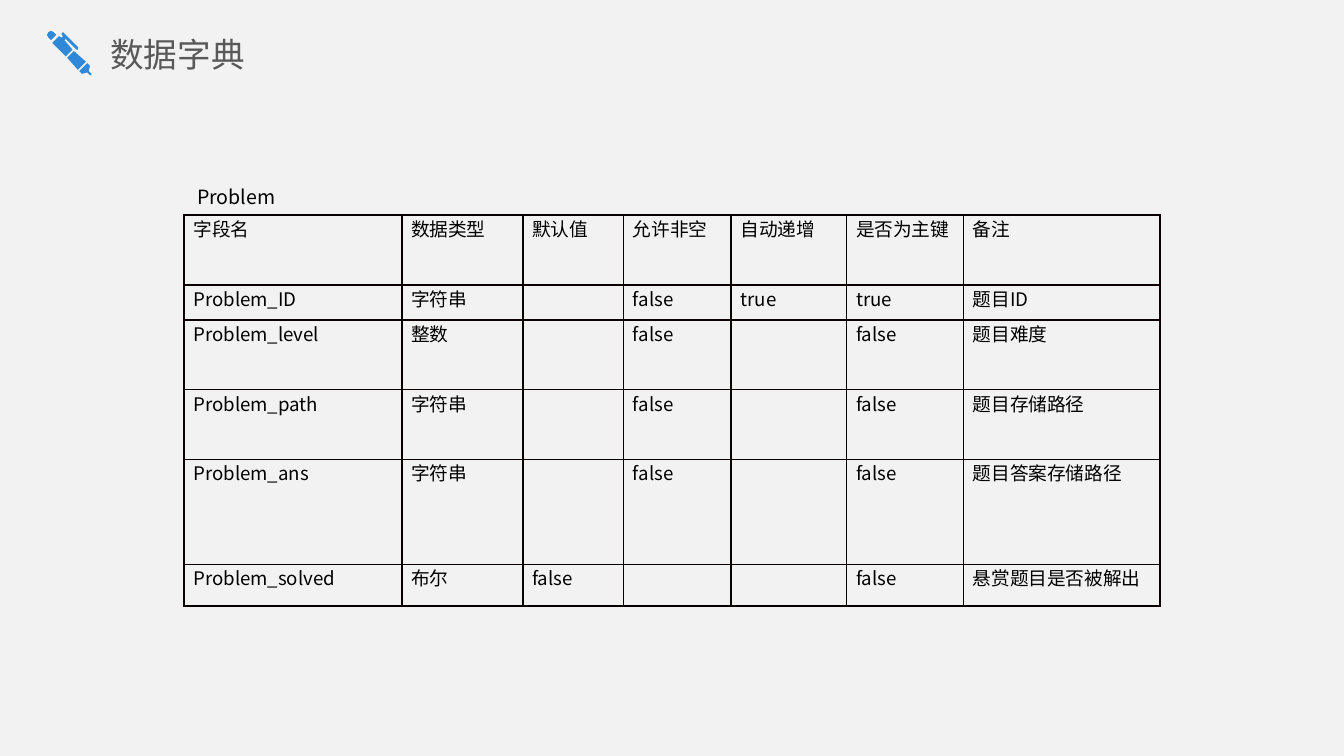
from lxml import etree
from pptx import Presentation
from pptx.dml.color import RGBColor
from pptx.enum import text
from pptx.oxml import ns
from pptx.util import Inches, Pt

FONT = "Noto Sans CJK SC"
BACKGROUND = RGBColor(0xF2, 0xF2, 0xF2)
BLUE = RGBColor(0x2F, 0x89, 0xD8)
GREY = RGBColor(0x59, 0x59, 0x59)
BLACK = RGBColor(0, 0, 0)
BORDER = RGBColor(0x08, 0, 0)

PEN_PARTS = [
    [(65, 47), (59, 53), (61, 55), (65, 54), (67, 56), (68, 56), (68, 55),
     (66, 53), (67, 49)],
    [(55, 38), (50, 43), (58, 52), (64, 46)],
    [(48, 25), (47, 24.5), (46, 25), (46, 26), (47, 27), (46, 28), (44, 27),
     (39, 32), (49, 42), (54, 37), (48, 30), (49, 29), (57, 37), (58, 37),
     (58.5, 36), (58, 35)],
    [(38, 23), (36, 24), (35.3, 26), (36, 28), (38, 30), (42, 26), (40, 24)],
]

COLUMN_WIDTHS = [1.62, 0.9, 0.75, 0.8, 0.86, 0.87, 1.46]
ROW_HEIGHTS = [0.52, 0.26, 0.52, 0.52, 0.78, 0.31]
FIELDS = [
    ["字段名", "数据类型", "默认值", "允许非空", "自动递增", "是否为主键", "备注"],
    ["Problem_ID", "字符串", "", "false", "true", "true", "题目ID"],
    ["Problem_level", "整数", "", "false", "", "false", "题目难度"],
    ["Problem_path", "字符串", "", "false", "", "false", "题目存储路径"],
    ["Problem_ans", "字符串", "", "false", "", "false", "题目答案存储路径"],
    ["Problem_solved", "布尔", "false", "", "", "false", "悬赏题目是否被解出"],
]


def place(shape, left, top, width, height):
    shape.left, shape.top = Inches(left), Inches(top)
    shape.width, shape.height = Inches(width), Inches(height)


def write(frame, words, size, color):
    frame.text = words
    paragraph = frame.paragraphs[0]
    paragraph.alignment = text.PP_ALIGN.LEFT
    for run in paragraph.runs:
        run.font.size = Pt(size)
        run.font.name = FONT
        run.font.color.rgb = color
        east_asian = etree.SubElement(run.font._element, ns.qn("a:ea"))
        east_asian.set("typeface", FONT)
    if not words:
        end = etree.SubElement(paragraph._p, ns.qn("a:endParaRPr"))
        end.set("sz", str(size * 100))


def draw_pen(slide):
    first, *others = PEN_PARTS
    builder = slide.shapes.build_freeform(*first[0], scale=Inches(0.01))
    builder.add_line_segments(first[1:], close=True)
    for part in others:
        builder.move_to(*part[0])
        builder.add_line_segments(part[1:], close=True)
    pen = builder.convert_to_shape()
    pen.shadow.inherit = False
    pen.fill.solid()
    pen.fill.fore_color.rgb = BLUE
    pen.line.fill.background()


def write_title(slide, words):
    title = slide.shapes.title
    place(title, 0.82, 0.19, 6.86, 0.42)
    frame = title.text_frame
    frame.auto_size = text.MSO_AUTO_SIZE.NONE
    frame.vertical_anchor = text.MSO_ANCHOR.MIDDLE
    frame.margin_left = frame.margin_right = 0
    frame.margin_top = frame.margin_bottom = Inches(0.05)
    write(frame, words, 18, GREY)


def add_caption(slide, words):
    caption = slide.shapes.add_textbox(
        Inches(1.37), Inches(1.33), Inches(6.29), Inches(0.28))
    caption.text_frame.word_wrap = True
    write(caption.text_frame, words, 10.5, BLACK)


def add_borders(cell):
    properties = cell._tc.get_or_add_tcPr()
    for position, side in enumerate(("lnL", "lnR", "lnT", "lnB")):
        line = etree.Element(ns.qn(f"a:{side}"), w=str(Pt(1)))
        fill = etree.SubElement(line, ns.qn("a:solidFill"))
        etree.SubElement(fill, ns.qn("a:srgbClr"), val=str(BORDER))
        properties.insert(position, line)


def add_dictionary(slide):
    frame = slide.shapes.add_table(
        len(ROW_HEIGHTS), len(COLUMN_WIDTHS), Inches(1.37), Inches(1.6),
        Inches(sum(COLUMN_WIDTHS)), Inches(sum(ROW_HEIGHTS)))
    table = frame.table
    table.first_row = table.horz_banding = False
    for column, width in zip(table.columns, COLUMN_WIDTHS):
        column.width = Inches(width)
    for row, height, values in zip(table.rows, ROW_HEIGHTS, FIELDS):
        row.height = Inches(height)
        for cell, value in zip(row.cells, values):
            cell.margin_left = cell.margin_right = Inches(0.07)
            cell.margin_top = cell.margin_bottom = 0
            cell.fill.background()
            add_borders(cell)
            write(cell.text_frame, value, 10, BLACK)


def main():
    presentation = Presentation()
    presentation.slide_width = Inches(10)
    presentation.slide_height = Inches(10 * 9 / 16)
    slide = presentation.slides.add_slide(presentation.slide_layouts[5])
    slide.background.fill.solid()
    slide.background.fill.fore_color.rgb = BACKGROUND
    draw_pen(slide)
    write_title(slide, "数据字典")
    add_caption(slide, "Problem")
    add_dictionary(slide)
    presentation.save("out.pptx")


if __name__ == "__main__":
    main()
